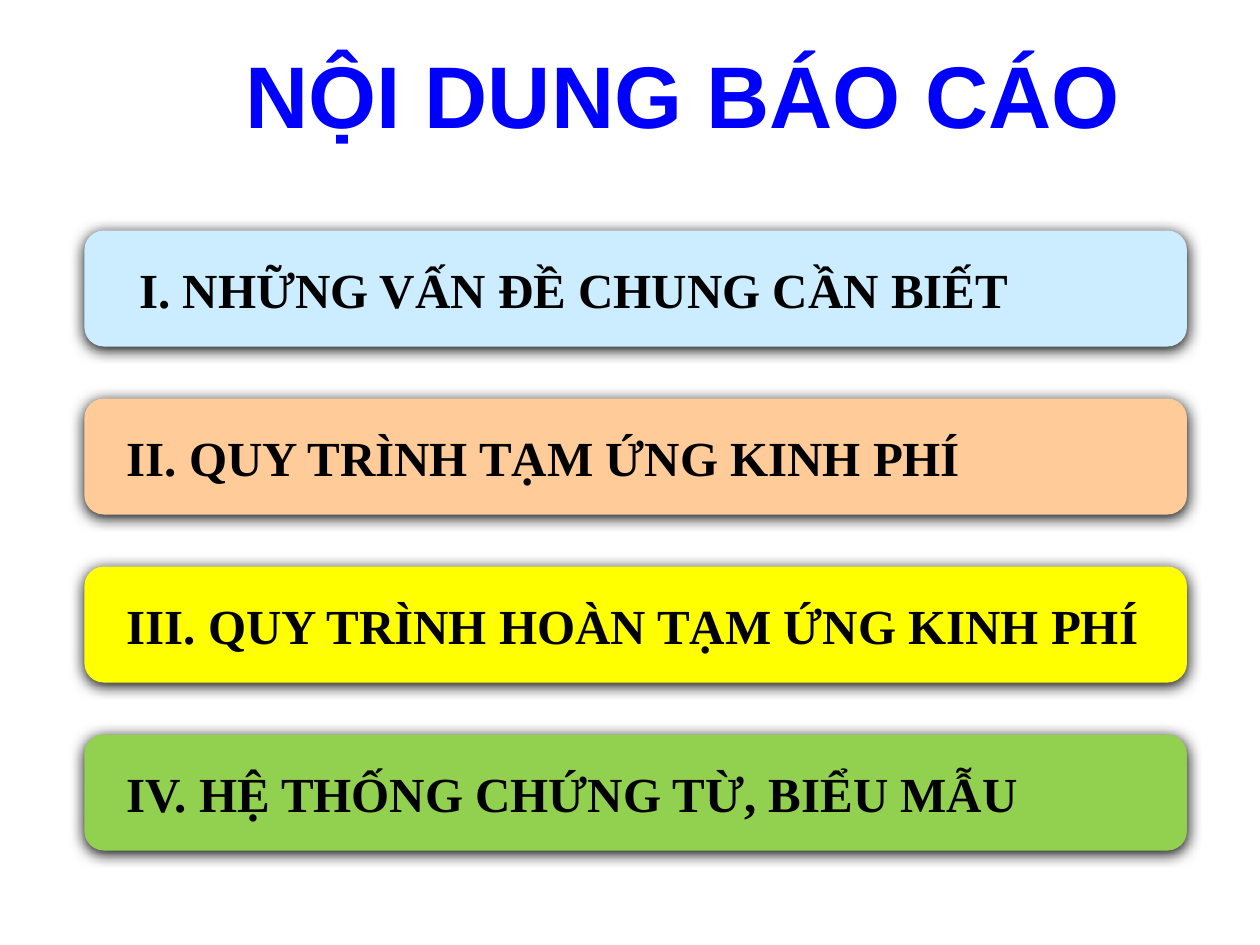
from dataclasses import dataclass

from lxml import etree
from pptx import Presentation
from pptx.dml.color import RGBColor
from pptx.enum import shapes, text
from pptx.oxml import ns
from pptx.util import Inches, Pt


@dataclass(frozen=True)
class Theme:
    title_font: str = "Arial"
    title_size: int = 50
    title_color: str = "0000FF"
    item_font: str = "Times New Roman"
    item_size: int = 28
    item_color: str = "000000"
    shadow_color: str = "000000"


THEME = Theme()

# Wording, fill and left inset of each agenda bar
AGENDA = [
    ("I. NHỮNG VẤN ĐỀ CHUNG CẦN BIẾT", "CCECFF", 0.39),
    ("II. QUY TRÌNH TẠM ỨNG KINH PHÍ", "FFCC99", 0.29),
    ("III. QUY TRÌNH HOÀN TẠM ỨNG KINH PHÍ", "FFFF00", 0.29),
    ("IV. HỆ THỐNG CHỨNG TỪ, BIỂU MẪU", "92D050", 0.29),
]


def write(frame, wording, font, size, color, align):
    frame.word_wrap = True
    frame.vertical_anchor = text.MSO_ANCHOR.MIDDLE
    line = frame.paragraphs[0]
    line.text = wording
    line.alignment = align
    line.font.name = font
    line.font.size = Pt(size)
    line.font.bold = True
    line.font.color.rgb = RGBColor.from_string(color)


def add_soft_shadow(bar):
    bar.shadow.inherit = False
    effects = bar.element.spPr.find(ns.qn("a:effectLst"))
    shadow = etree.SubElement(
        effects, ns.qn("a:outerShdw"), blurRad=str(Pt(8.5)), dist=str(Pt(1)),
        dir="5400000", algn="t", rotWithShape="0")
    etree.SubElement(shadow, ns.qn("a:srgbClr"), val=THEME.shadow_color)


def add_title(slide, wording, left, top, width, height):
    title = slide.shapes.add_textbox(
        Inches(left), Inches(top), Inches(width), Inches(height))
    write(title.text_frame, wording, THEME.title_font, THEME.title_size,
          THEME.title_color, text.PP_ALIGN.CENTER)


def add_agenda(slide, items, left, top, width, height, bar_height):
    # Equal steps, with the last bar ending at the bottom of the box
    step = (height - bar_height) / (len(items) - 1)
    for index, (wording, fill, inset) in enumerate(items):
        bar = slide.shapes.add_shape(
            shapes.MSO_SHAPE.ROUNDED_RECTANGLE, Inches(left),
            Inches(top + index * step), Inches(width), Inches(bar_height))
        bar.fill.solid()
        bar.fill.fore_color.rgb = RGBColor.from_string(fill)
        bar.line.fill.background()
        add_soft_shadow(bar)
        bar.text_frame.margin_left = Inches(inset)
        write(bar.text_frame, wording, THEME.item_font, THEME.item_size,
              THEME.item_color, text.PP_ALIGN.LEFT)


deck = Presentation()
deck.slide_width, deck.slide_height = Inches(10), Inches(7.5)
contents = deck.slides.add_slide(deck.slide_layouts[6])

# Heading
add_title(contents, "NỘI DUNG BÁO CÁO", 0.92, 0.12, 9, 1.25)

# Agenda bars
add_agenda(contents, AGENDA, 0.67, 1.83, 8.75, 4.92, 0.92)

deck.save("out.pptx")
